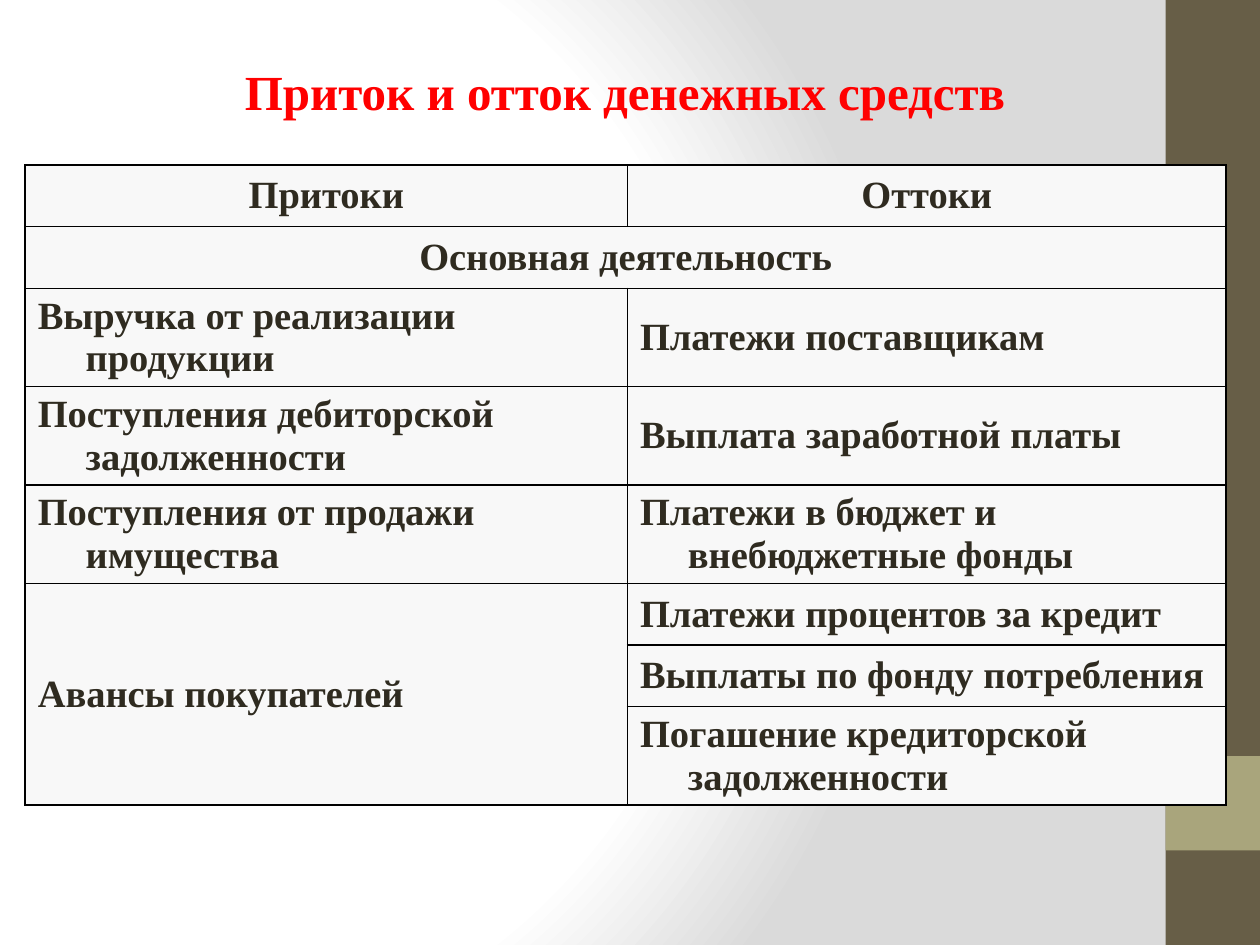
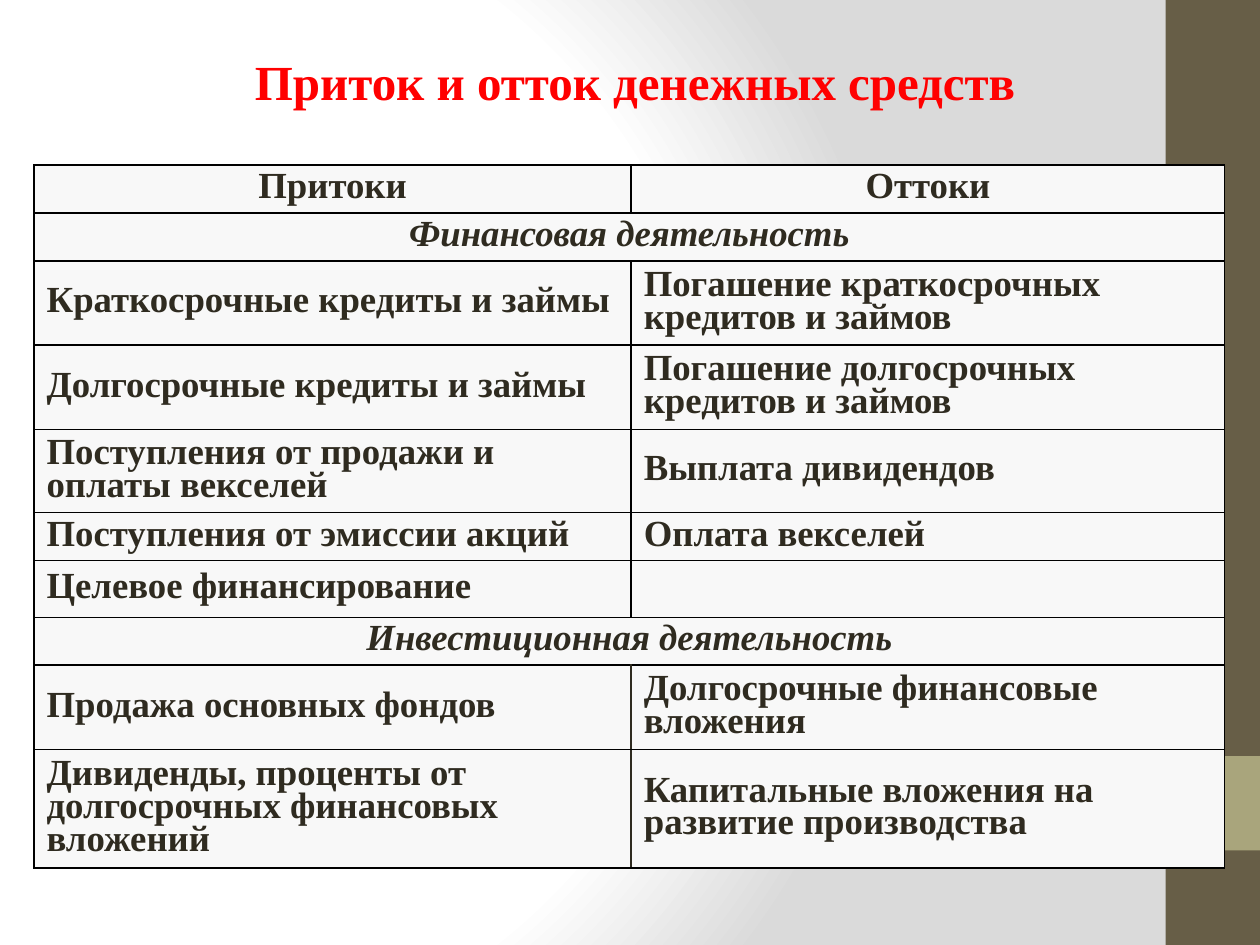
from lxml import etree
from pptx import Presentation
from pptx.dml.color import RGBColor
from pptx.enum.shapes import MSO_SHAPE
from pptx.enum.text import MSO_ANCHOR, PP_ALIGN
from pptx.oxml import parse_xml
from pptx.oxml.ns import nsdecls, qn
from pptx.util import Inches, Pt

COLORS = {
    "title": "FF0000", "text": "2F2B20", "cell": "F8F8F8", "border": "000000",
    "band": "675E47", "accent": "A9A57C", "light": "FFFFFF", "shade": "DADADA",
}
FONT = "Times New Roman"
TITLE = "Приток и отток денежных средств"
HEADINGS = ("Притоки", "Оттоки")

# Side bands: left, top, width, height, colour
BANDS = [(9.25, 0, 0.75, 7.5, "band"), (9.25, 6, 0.75, 0.75, "accent")]

# Rows: height, then the texts. One text spans both columns;
# None continues the cell above.
SLIDES = [
    {
        "title_at": (0.67, 0.44, 8.58, 0.57),
        "table_at": (0.2, 1.31),
        "columns": (4.78, 4.75),
        "size": 22, "line_spacing": None, "hanging": 0.38,
        "section_italic": False, "soft_divider_from": None,
        "rows": [
            (0.49, *HEADINGS),
            (0.49, "Основная деятельность"),
            (0.78, "Выручка от реализации продукции", "Платежи поставщикам"),
            (0.78, "Поступления дебиторской задолженности", "Выплата заработной платы"),
            (0.78, "Поступления от продажи имущества", "Платежи в бюджет и внебюджетные фонды"),
            (0.49, "Авансы покупателей", "Платежи процентов за кредит"),
            (0.49, None, "Выплаты по фонду потребления"),
            (0.78, None, "Погашение кредиторской задолженности"),
        ],
    },
    {
        "title_at": (0.75, 0.36, 8.58, 0.57),
        "table_at": (0.27, 1.31),
        "columns": (4.74, 4.71),
        "size": 21, "line_spacing": 0.8, "hanging": 0,
        "section_italic": True, "soft_divider_from": 8,
        "rows": [
            (0.38, *HEADINGS),
            (0.38, "Финансовая деятельность"),
            (0.67, "Краткосрочные кредиты и займы", "Погашение краткосрочных кредитов и займов"),
            (0.67, "Долгосрочные кредиты и займы", "Погашение долгосрочных кредитов и займов"),
            (0.66, "Поступления от продажи и оплаты векселей", "Выплата дивидендов"),
            (0.38, "Поступления от эмиссии акций", "Оплата векселей"),
            (0.45, "Целевое финансирование", ""),
            (0.38, "Инвестиционная деятельность"),
            (0.67, "Продажа основных фондов", "Долгосрочные финансовые вложения"),
            (0.94, "Дивиденды, проценты от долгосрочных финансовых вложений",
             "Капитальные вложения на развитие производства"),
        ],
    },
]


def rgb(name):
    return RGBColor.from_string(COLORS[name])


def format_font(font, color, **values):
    for key, value in {"name": FONT, "bold": True, **values}.items():
        setattr(font, key, value)
    font.color.rgb = rgb(color)


def set_background(master):
    """Give the master a round gradient that is white at the left."""
    master.background.fill.solid()
    solid = master.element.find(".//" + qn("p:bgPr")).find(qn("a:solidFill"))
    stops = "".join(
        f'<a:gs pos="{position * 1000}"><a:srgbClr val="{COLORS[name]}"/></a:gs>'
        for position, name in ((0, "light"), (75, "light"), (100, "shade")))
    gradient = parse_xml(
        f'<a:gradFill {nsdecls("a")} rotWithShape="1"><a:gsLst>{stops}</a:gsLst>'
        '<a:path path="circle"><a:fillToRect l="20000" t="50000" r="100000" b="50000"/>'
        '</a:path></a:gradFill>')
    solid.getparent().replace(solid, gradient)


def add_bands(slide):
    for *place, color in BANDS:
        band = slide.shapes.add_shape(MSO_SHAPE.RECTANGLE, *map(Inches, place))
        band.shadow.inherit = False
        band.fill.solid()
        band.fill.fore_color.rgb = rgb(color)
        band.line.fill.background()


def add_title(slide, place):
    title = slide.shapes.title
    title.left, title.top, title.width, title.height = map(Inches, place)
    title.text_frame.word_wrap = True
    paragraph = title.text_frame.paragraphs[0]
    paragraph.text = TITLE
    paragraph.alignment = PP_ALIGN.CENTER
    format_font(paragraph.runs[0].font, "title", size=Pt(28))


def set_borders(cell, left="border", right="border"):
    properties = cell._tc.get_or_add_tcPr()
    sides = {"lnL": left, "lnR": right, "lnT": "border", "lnB": "border"}
    for side, color in sides.items():
        line = etree.SubElement(properties, qn(f"a:{side}"), w=str(Pt(1)))
        fill = etree.SubElement(line, qn("a:solidFill"))
        etree.SubElement(fill, qn("a:srgbClr"), val=COLORS[color])


def write_cell(cell, text, content, centered, italic):
    cell.vertical_anchor = MSO_ANCHOR.MIDDLE
    paragraph = cell.text_frame.paragraphs[0]
    paragraph.text = text
    paragraph.alignment = PP_ALIGN.CENTER if centered else PP_ALIGN.LEFT
    paragraph.line_spacing = content["line_spacing"]
    if content["hanging"]:
        indent = Inches(content["hanging"])
        properties = paragraph._p.get_or_add_pPr()
        properties.set("marL", str(indent))
        properties.set("indent", str(-indent))
    for run in paragraph.runs:
        format_font(run.font, "text", size=Pt(content["size"]), italic=italic)


def add_flow_table(slide, content):
    rows, columns = content["rows"], content["columns"]
    size = sum(columns), sum(row[0] for row in rows)
    table = slide.shapes.add_table(
        len(rows), len(columns), *map(Inches, (*content["table_at"], *size))).table
    table.first_row = table.horz_banding = False
    for column, width in zip(table.columns, columns):
        column.width = Inches(width)

    soft_from = content["soft_divider_from"]
    merge_start = 0
    for r, (height, *texts) in enumerate(rows):
        table.rows[r].height = Inches(height)
        divider = "text" if soft_from and r >= soft_from else "border"
        for c in range(len(columns)):
            cell = table.cell(r, c)
            set_borders(cell, **{"left" if c else "right": divider})
            cell.fill.solid()
            cell.fill.fore_color.rgb = rgb("cell")
        section = len(texts) == 1
        for c, text in enumerate(texts):
            if text:
                write_cell(table.cell(r, c), text, content, section or r == 0,
                           section and content["section_italic"])
        if section:
            table.cell(r, 0).merge(table.cell(r, 1))
        if texts[0] is not None:
            merge_start = r
        elif r + 1 == len(rows) or rows[r + 1][1] is not None:
            table.cell(merge_start, 0).merge(table.cell(r, 0))


def main():
    prs = Presentation()
    prs.slide_width, prs.slide_height = Inches(10), Inches(7.5)
    set_background(prs.slide_master)
    for content in SLIDES:
        slide = prs.slides.add_slide(prs.slide_layouts[5])
        add_bands(slide)
        add_title(slide, content["title_at"])
        add_flow_table(slide, content)
    prs.save("out.pptx")


if __name__ == "__main__":
    main()
